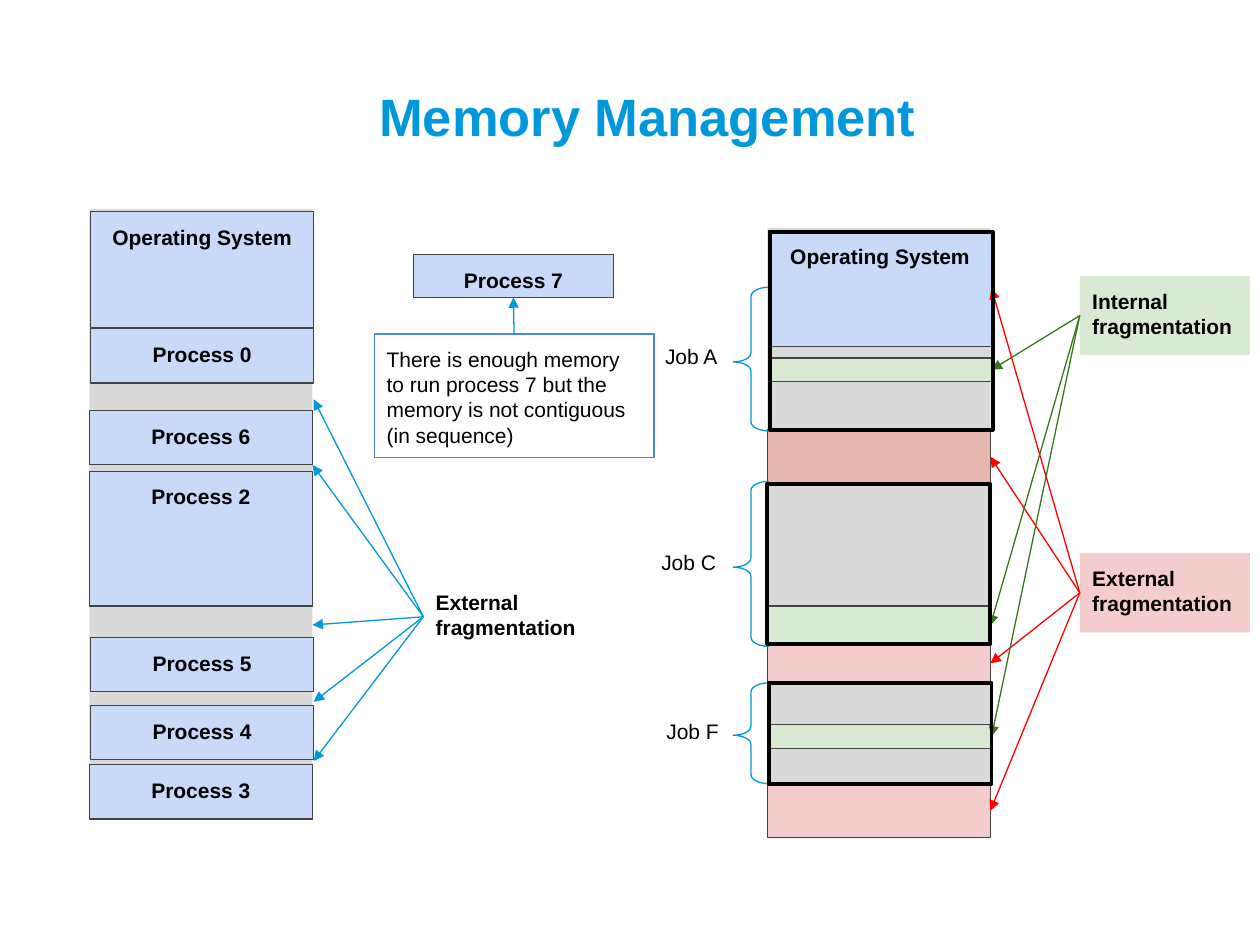
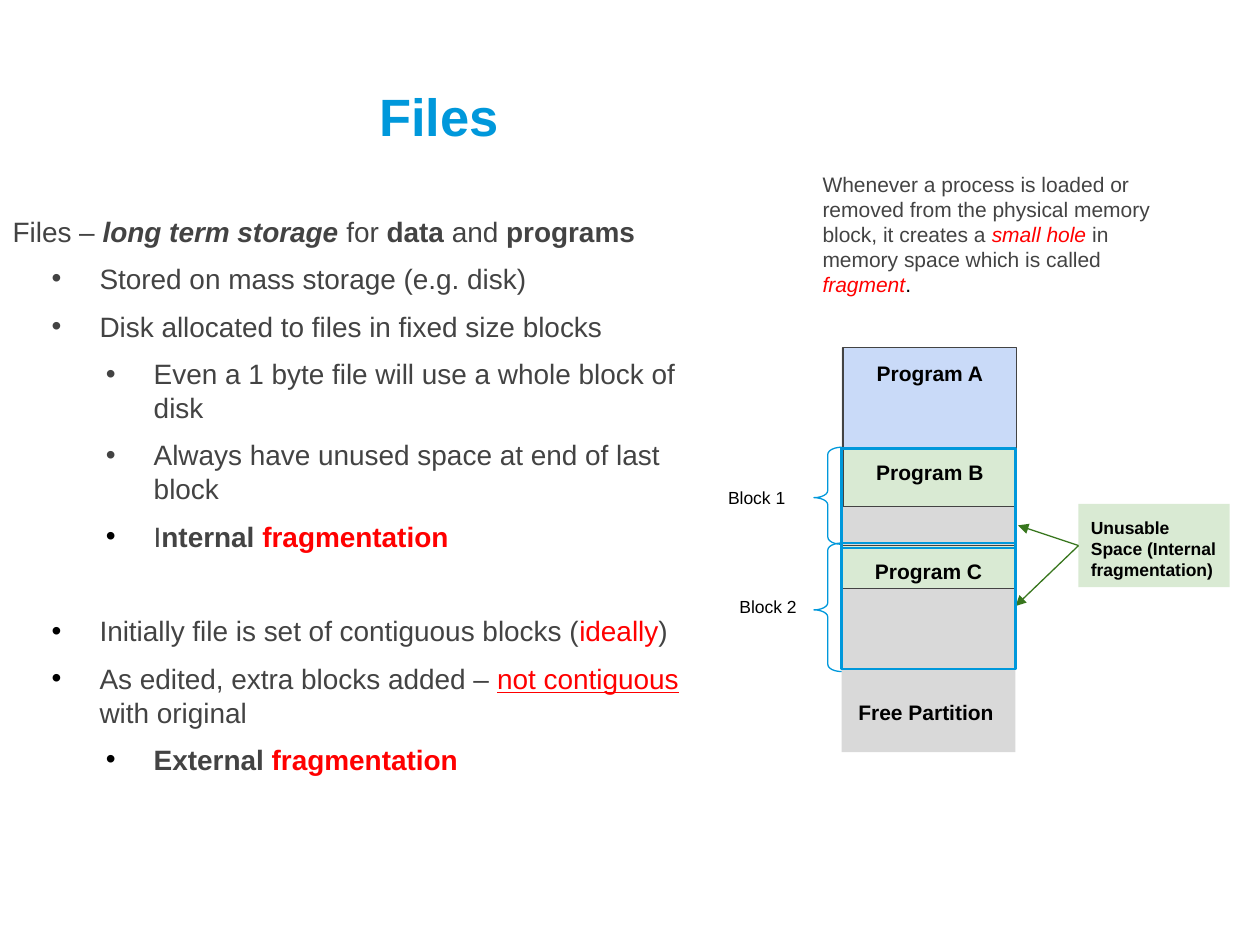
"""Build two slides on memory management and file fragmentation."""
from lxml.etree import SubElement
from pptx import Presentation
from pptx.dml.color import RGBColor
from pptx.enum.shapes import MSO_CONNECTOR, MSO_SHAPE as SHAPE
from pptx.enum.text import MSO_ANCHOR, MSO_AUTO_SIZE, PP_ALIGN
from pptx.oxml.ns import qn
from pptx.util import Inches, Pt

BLACK = RGBColor(0x00, 0x00, 0x00)
DARK = RGBColor(0x43, 0x43, 0x43)
GREY = RGBColor(0xD9, 0xD9, 0xD9)
SKY = RGBColor(0x00, 0x98, 0xDB)
BLUE = RGBColor(0x4A, 0x86, 0xE8)
PALE_BLUE = RGBColor(0xC9, 0xDA, 0xF8)
PALE_GREEN = RGBColor(0xD9, 0xEA, 0xD3)
GREEN = RGBColor(0x38, 0x76, 0x1D)
PINK = RGBColor(0xF4, 0xCC, 0xCC)
BRICK = RGBColor(0xE6, 0xB8, 0xAF)
RED = RGBColor(0xFF, 0x00, 0x00)
FONT = "Arial"


def add_box(slide, left, top, width, height, text="", fill=None, line=None, weight=0.75,
            size=12, bold=True, align=PP_ALIGN.LEFT, kind=SHAPE.RECTANGLE):
    """Add a shape, or a text box when it has neither fill nor line."""
    at = [Inches(v) for v in (left, top, width, height)]
    if fill is None and line is None:
        sp = slide.shapes.add_textbox(*at)
    else:
        sp = slide.shapes.add_shape(kind, *at)
        sp.shadow.inherit = False
    if fill is None:
        sp.fill.background()
    else:
        sp.fill.solid()
        sp.fill.fore_color.rgb = fill
    if line is None:
        sp.line.fill.background()
    else:
        sp.line.color.rgb = line
        sp.line.width = Pt(weight)
    if kind == SHAPE.LEFT_BRACE:
        sp.adjustments[0], sp.adjustments[1] = 0.259, 0.52
    if text:
        tf = sp.text_frame
        tf.word_wrap = True
        tf.vertical_anchor = MSO_ANCHOR.TOP
        tf.margin_left = tf.margin_right = tf.margin_top = tf.margin_bottom = Inches(0.1)
        tf.text = text
        p = tf.paragraphs[0]
        p.alignment = align
        font = p.runs[0].font
        font.name, font.size, font.bold = FONT, Pt(size), bold
        font.color.rgb = BLACK
    return sp


def add_arrow(slide, source, site, target, color):
    """Draw an arrow from a shape's side to a point or to (shape, side)."""
    cxn = slide.shapes.add_connector(MSO_CONNECTOR.STRAIGHT, 0, 0, 0, 0)
    cxn.begin_connect(source, site)
    if isinstance(target[0], float):
        cxn.end_x, cxn.end_y = Inches(target[0]), Inches(target[1])
    else:
        cxn.end_connect(*target)
    cxn.line.color.rgb = color
    cxn.line.width = Pt(0.75)
    SubElement(cxn.line._get_or_add_ln(), qn("a:tailEnd"), type="triangle")
    SubElement(cxn._element.spPr, qn("a:effectLst"))


prs = Presentation()
prs.slide_width, prs.slide_height = Inches(10), Inches(7.5)
memory = prs.slides.add_slide(prs.slide_layouts[5])
files = prs.slides.add_slide(prs.slide_layouts[1])

for s, title in ((memory, "Memory Management"), (files, "Files")):
    sp = s.shapes.title
    sp.left, sp.top, sp.width, sp.height = [Inches(v) for v in (2.91, 0.79, 6.04, 0.48)]
    tf = sp.text_frame
    tf.text = title
    tf.auto_size = MSO_AUTO_SIZE.NONE
    tf.vertical_anchor = MSO_ANCHOR.BOTTOM
    tf.margin_left = tf.margin_right = tf.margin_top = tf.margin_bottom = Inches(0.1)
    p = tf.paragraphs[0]
    p.alignment = PP_ALIGN.LEFT
    font = p.runs[0].font
    font.name, font.size, font.bold = FONT, Pt(30), True
    font.color.rgb = SKY

add_box(memory, 0.71, 1.66, 1.77, 4.83, fill=GREY)
for left, top, width, height, name in (
    (0.72, 1.68, 1.77, 0.92, "Operating System"),
    (0.72, 2.61, 1.77, 0.43, "Process 0"),
    (0.71, 3.26, 1.77, 0.43, "Process 6"),
    (0.71, 3.74, 1.77, 1.07, "Process 2"),
    (0.72, 5.06, 1.77, 0.43, "Process 5"),
    (0.72, 5.6, 1.77, 0.43, "Process 4"),
    (0.71, 6.07, 1.77, 0.43, "Process 3"),
    (3.28, 2.02, 1.59, 0.34, "Process 7"),
):
    process = add_box(memory, left, top, width, height, name, PALE_BLUE, DARK,
                      align=PP_ALIGN.CENTER)
reason = add_box(memory, 2.97, 2.65, 2.22, 0.98,
                 "There is enough memory to run process 7 but the memory is not contiguous "
                 "(in sequence)", line=BLUE, bold=False)
add_arrow(memory, reason, 0, (process, 2), SKY)
holes = add_box(memory, 3.36, 4.58, 1.43, 0.63, "External fragmentation")
for end in ((2.49, 3.17), (2.48, 3.69), (2.48, 4.96), (2.49, 5.57), (2.49, 6.04)):
    add_arrow(memory, holes, 1, end, SKY)

add_box(memory, 6.09, 1.81, 1.77, 4.83, fill=GREY)
system = add_box(memory, 6.1, 1.83, 1.77, 0.92, "Operating System", PALE_BLUE, DARK,
                 align=PP_ALIGN.CENTER)
external, internal = [system], []
for left, top, height, fill, group in (
    (6.1, 2.84, 0.19, PALE_GREEN, internal),
    (6.09, 3.41, 0.43, BRICK, external),
    (6.09, 5.11, 0.31, PINK, external),
    (6.1, 5.75, 0.19, PALE_GREEN, internal),
    (6.09, 6.22, 0.43, PINK, external),
    (6.09, 4.81, 0.31, PALE_GREEN, internal),
):
    group.append(add_box(memory, left, top, 1.77, height, fill=fill, line=DARK))
for text, top, fill, color, group in (
    ("External fragmentation", 4.39, PINK, RED, external),
    ("Internal fragmentation", 2.19, PALE_GREEN, GREEN, internal),
):
    legend = add_box(memory, 8.57, top, 1.35, 0.63, text, fill)
    for part in group:
        add_arrow(memory, legend, 1, (part, 3), color)
for job, left, label_top, brace_top, brace_height, frame_left, frame_top, frame_height in (
    ("Job A", 5.18, 2.63, 2.28, 1.14, 6.11, 1.84, 1.57),
    ("Job C", 5.15, 4.26, 3.82, 1.31, 6.09, 3.84, 1.27),
    ("Job F", 5.19, 5.6, 5.42, 0.8, 6.1, 5.42, 0.8),
):
    add_box(memory, left, label_top, 0.67, 0.43, job, bold=False)
    add_box(memory, 5.82, brace_top, 0.28, brace_height, line=SKY, kind=SHAPE.LEFT_BRACE)
    add_box(memory, frame_left, frame_top, 1.77, frame_height, line=BLACK, weight=2.25)

body = files.placeholders[1]
body.left, body.top, body.width, body.height = [Inches(v) for v in (0, 1.61, 5.77, 4.64)]
note = files.shapes.add_textbox(Inches(6.43), Inches(1.31), Inches(3.07), Inches(1.07))
body_items = (
    (0, 0, None, (("Files – ", DARK, ""), ("long term storage ", DARK, "bi"), ("for ", DARK, ""),
                  ("data", DARK, "b"), (" and ", DARK, ""), ("programs", DARK, "b"))),
    (1, 8, DARK, (("Stored on mass storage (e.g. disk)", DARK, ""),)),
    (1, 8, DARK, (("Disk allocated to files in fixed size blocks", DARK, ""),)),
    (2, 8, DARK, (("Even a 1 byte file will use a whole block of disk", DARK, ""),)),
    (2, 8, DARK, (("Always have unused space at end of last block", DARK, ""),)),
    (2, 8, BLACK, (("I", DARK, ""), ("nternal ", DARK, "b"), ("fragmentation", RED, "b"))),
    (1, 35, BLACK, (("Initially file is set of contiguous blocks (", DARK, ""),
                    ("ideally", RED, ""), (")", DARK, ""))),
    (1, 8, BLACK, (("As edited, extra blocks added – ", DARK, ""),
                   ("not contiguous ", RED, "u"), ("with original", DARK, ""))),
    (2, 8, BLACK, (("External ", DARK, "b"), ("fragmentation", RED, "b"))),
)
note_items = (
    (0, 0, None, (("Whenever a process is loaded or removed from the physical memory block, "
                   "it creates a ", DARK, ""), ("small hole ", RED, "i"),
                  ("in memory space which is called ", DARK, ""), ("fragment", RED, "i"),
                  (".", BLACK, ""))),
)
for sp, items, size, margin, anchor in (
    (body, body_items, 16, 0.1, MSO_ANCHOR.MIDDLE),
    (note, note_items, 12, 0.05, MSO_ANCHOR.TOP),
):
    tf = sp.text_frame
    tf.word_wrap = True
    tf.auto_size = MSO_AUTO_SIZE.NONE
    tf.vertical_anchor = anchor
    tf.margin_left = tf.margin_right = Inches(0.1)
    tf.margin_top = tf.margin_bottom = Inches(margin)
    for i, (level, before, bullet, runs) in enumerate(items):
        p = tf.add_paragraph() if i else tf.paragraphs[0]
        p.level = level
        p.space_before = Pt(before)
        pPr = p._p.get_or_add_pPr()
        pPr.set("marL", str(Inches((0, 0.69, 1.12)[level])))
        pPr.set("indent", str(Inches(-0.38 if bullet else 0)))
        if bullet:
            SubElement(SubElement(pPr, qn("a:buClr")), qn("a:srgbClr"), val=str(bullet))
            SubElement(pPr, qn("a:buFont"), typeface=FONT)
            SubElement(pPr, qn("a:buChar"), char="•")
        else:
            SubElement(pPr, qn("a:buNone"))
        for text, color, style in runs:
            r = p.add_run()
            r.text = text
            r.font.name, r.font.size = FONT, Pt(size)
            r.font.bold, r.font.italic = "b" in style, "i" in style
            r.font.underline = "u" in style
            r.font.color.rgb = color

add_box(files, 6.68, 2.76, 1.38, 3.21, fill=GREY)
for left, top, height, name, fill in (
    (6.69, 2.76, 0.79, "Program A", PALE_BLUE),
    (6.69, 3.55, 0.47, "Program B", PALE_GREEN),
    (6.68, 4.33, 0.34, "Program C", PALE_GREEN),
):
    add_box(files, left, top, 1.38, height, name, fill, DARK, align=PP_ALIGN.CENTER)
add_box(files, 6.66, 5.45, 1.38, 0.48, "Free Partition", align=PP_ALIGN.CENTER)
unusable = add_box(files, 8.56, 4, 1.2, 0.66, "Unusable Space (Internal fragmentation)",
                   PALE_GREEN, size=10)
for end in ((8.06, 4.81), (8.08, 4.17)):
    add_arrow(files, unusable, 1, end, GREEN)
for block, left, label_top, brace_top, brace_height, frame_top, frame_height in (
    ("Block 1", 5.68, 3.78, 3.55, 0.77, 3.56, 0.79),
    ("Block 2", 5.77, 4.65, 4.31, 1.02, 4.31, 1),
):
    add_box(files, left, label_top, 0.69, 0.34, block, size=10, bold=False)
    add_box(files, 6.46, brace_top, 0.22, brace_height, line=SKY, kind=SHAPE.LEFT_BRACE)
    add_box(files, 6.68, frame_top, 1.38, frame_height, line=SKY, weight=1.5)

prs.save("out.pptx")
